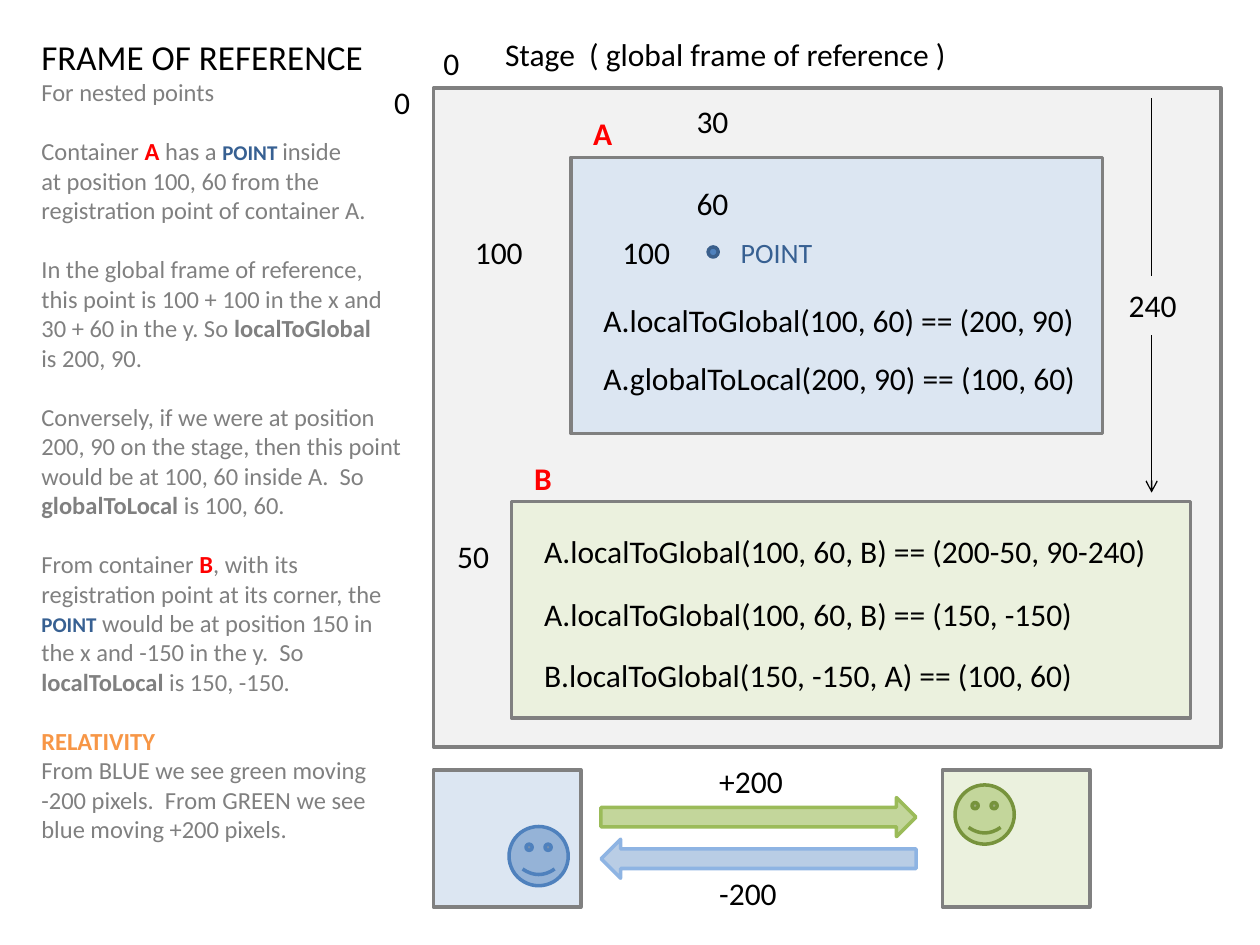
import pptx
import pptx.util
import pptx.dml.color
import pptx.enum.shapes
import pptx.enum.text
import pptx.oxml.ns
import lxml.etree

Inches = pptx.util.Inches
SHAPES = pptx.enum.shapes.MSO_SHAPE
FONT = "Calibri"
COLORS = {
    "black": "000000", "gray": "808080", "red": "FF0000", "navy": "376092",
    "orange": "F79646", "stage": "F2F2F2", "blue_box": "DCE6F2",
    "green_box": "EBF1DE", "point": "4F81BD", "point_line": "3A5F8C",
    "blue_face": "95B3D7", "green_face": "C3D69B", "green_face_line": "77933C",
    "green_arrow_line": "9BBB59", "blue_arrow": "B9CDE5", "blue_arrow_line": "8EB4E3",
}
STYLES = {
    "title": {"size": 20},
    "body": {"size": 14, "color": "gray"},
    "bold": {"size": 14, "color": "gray", "bold": True},
    "container": {"size": 14, "color": "red", "bold": True},
    "point": {"size": 12, "color": "navy", "bold": True},
    "heading": {"size": 14, "color": "orange", "bold": True},
}
# Each block is a list of lines; a line is plain body text or a list of (text, style).
EXPLANATION = [
    [[("FRAME OF REFERENCE", "title")], "For nested points"],
    [[("Container ", "body"), ("A", "container"), (" has a ", "body"),
      ("POINT ", "point"), ("inside", "body")],
     "at position 100, 60 from the",
     "registration point of container A."],
    ["In the global frame of reference,",
     "this point is 100 + 100 in the x and",
     [("30 + 60 in the y. So ", "body"), ("localToGlobal", "bold")],
     "is 200, 90."],
    ["Conversely, if we were at position",
     "200, 90 on the stage, then this point",
     "would be at 100, 60 inside A.  So",
     [("globalToLocal ", "bold"), ("is 100, 60.", "body")]],
    [[("From container ", "body"), ("B", "container"), (", with its", "body")],
     "registration point at its corner, the",
     [("POINT", "point"), (" would be at position 150 in", "body")],
     "the x and -150 in the y.  So",
     [("localToLocal", "bold"), (" is 150, -150.", "body")]],
    [[("RELATIVITY", "heading")],
     "From BLUE we see green moving",
     "-200 pixels.  From GREEN we see",
     "blue moving +200 pixels."],
]
# Text, left, top, width
LABELS = [
    ("Stage  ( global frame of reference )", 3.91, 0.23, 3.75),
    ("0", 3.42, 0.3, 0.33),
    ("0", 3.03, 0.61, 0.33),
    ("30", 5.43, 0.76, 0.46),
    ("60", 5.43, 1.41, 0.46),
    ("100", 3.67, 1.8, 0.59),
    ("100", 4.84, 1.8, 0.59),
    ("A.localToGlobal(100, 60) == (200, 90)", 4.69, 2.34, 3.98),
    ("A.globalToLocal(200, 90) == (100, 60)", 4.69, 2.8, 3.99),
    ("240", 8.86, 2.22, 0.59),
    ("50", 3.53, 4.21, 0.46),
    ("A.localToGlobal(100, 60, B) == (200-50, 90-240)", 4.22, 4.17, 5.03),
    ("A.localToGlobal(100, 60, B) == (150, -150)", 4.22, 4.67, 4.44),
    ("B.localToGlobal(150, -150, A) == (100, 60)", 4.22, 5.16, 4.44),
    ("+200", 5.61, 6, 0.71),
    ("-200", 5.61, 6.89, 0.66),
]


def color(name):
    """Return the named colour."""
    return pptx.dml.color.RGBColor.from_string(COLORS[name])


def add_run(paragraph, text, size=18, color_name="black", bold=False):
    """Append formatted text to a paragraph."""
    run = paragraph.add_run()
    run.text = text
    run.font.name = FONT
    run.font.size = pptx.util.Pt(size)
    run.font.bold = bold
    run.font.color.rgb = color(color_name)


def add_text_box(slide, left, top, width, height):
    """Add an unwrapped text box and return its text frame."""
    box = slide.shapes.add_textbox(Inches(left), Inches(top), Inches(width), Inches(height))
    box.text_frame.word_wrap = False
    box.text_frame.auto_size = pptx.enum.text.MSO_AUTO_SIZE.SHAPE_TO_FIT_TEXT
    return box.text_frame


def add_label(slide, text, left, top, width, height=0.4, **text_format):
    """Add a one-line label."""
    frame = add_text_box(slide, left, top, width, height)
    add_run(frame.paragraphs[0], text, **text_format)


def add_explanation(slide):
    """Add the explanation column, with a line's gap between blocks."""
    frame = add_text_box(slide, 0.23, 0.23, 3.09, 6.56)
    paragraph = None
    for block_index, block in enumerate(EXPLANATION):
        for line_index, line in enumerate(block):
            paragraph = frame.add_paragraph() if paragraph else frame.paragraphs[0]
            if block_index and not line_index:
                paragraph.space_before = pptx.util.Pt(17)
            for text, style in [(line, "body")] if isinstance(line, str) else line:
                values = STYLES[style]
                add_run(paragraph, text, values["size"], values.get("color", "black"),
                        values.get("bold", False))


def add_shape(slide, kind, left, top, width, height, fill, line="gray", rotation=0):
    """Add a filled, outlined preset shape."""
    shape = slide.shapes.add_shape(kind, Inches(left), Inches(top), Inches(width), Inches(height))
    shape.shadow.inherit = False
    shape.fill.solid()
    shape.fill.fore_color.rgb = color(fill)
    shape.line.color.rgb = color(line)
    shape.line.width = pptx.util.Pt(2)
    shape.rotation = rotation


def add_vertical_line(slide, x, top, bottom, arrow=False):
    """Add a thin vertical line, optionally with an arrowhead at its bottom."""
    connector = slide.shapes.add_connector(
        pptx.enum.shapes.MSO_CONNECTOR.STRAIGHT,
        Inches(x), Inches(top), Inches(x), Inches(bottom))
    connector.line.color.rgb = color("black")
    connector.line.width = pptx.util.Pt(0.75)
    qualified = pptx.oxml.ns.qn
    if arrow:
        line = connector.line._get_or_add_ln()
        lxml.etree.SubElement(line, qualified("a:tailEnd"), type="arrow")
    lxml.etree.SubElement(connector._element.spPr, qualified("a:effectLst"))


def add_stage(slide):
    """Add the stage with its two containers, the point and the distance line."""
    add_shape(slide, SHAPES.RECTANGLE, 3.44, 0.7, 6.25, 5.23, "stage")
    add_shape(slide, SHAPES.RECTANGLE, 4.53, 1.25, 4.22, 2.19, "blue_box")
    add_shape(slide, SHAPES.RECTANGLE, 4.06, 3.98, 5.39, 1.72, "green_box")
    add_shape(slide, SHAPES.OVAL, 5.62, 1.96, 0.08, 0.08, "point", "point_line")
    add_vertical_line(slide, 9.14, 0.78, 2.19)
    add_vertical_line(slide, 9.14, 2.66, 3.91, arrow=True)


def add_relativity(slide):
    """Add the two observers and the arrows between them."""
    for left, fill in ((3.44, "blue_box"), (7.48, "green_box")):
        add_shape(slide, SHAPES.RECTANGLE, left, 6.11, 1.17, 1.09, fill)
    for left, top, fill, line in ((4.04, 6.56, "blue_face", "point"),
                                  (7.58, 6.23, "green_face", "green_face_line")):
        add_shape(slide, SHAPES.SMILEY_FACE, left, top, 0.47, 0.47, fill, line)
    for top, fill, line, rotation in ((6.33, "green_face", "green_arrow_line", 0),
                                      (6.66, "blue_arrow", "blue_arrow_line", 180)):
        add_shape(slide, SHAPES.RIGHT_ARROW, 4.77, top, 2.5, 0.31, fill, line, rotation)


def main():
    """Build and save the slide."""
    presentation = pptx.Presentation()
    presentation.slide_width = Inches(10)
    presentation.slide_height = Inches(7.5)
    slide = presentation.slides.add_slide(presentation.slide_layouts[6])
    add_explanation(slide)
    add_stage(slide)
    add_relativity(slide)
    for label in LABELS:
        add_label(slide, *label)
    add_label(slide, "A", 4.61, 0.86, 0.35, color_name="red", bold=True)
    add_label(slide, "B", 4.14, 3.59, 0.35, color_name="red", bold=True)
    add_label(slide, "POINT", 5.78, 1.82, 0.78, 0.37, size=16, color_name="navy")
    presentation.save("out.pptx")


main()
